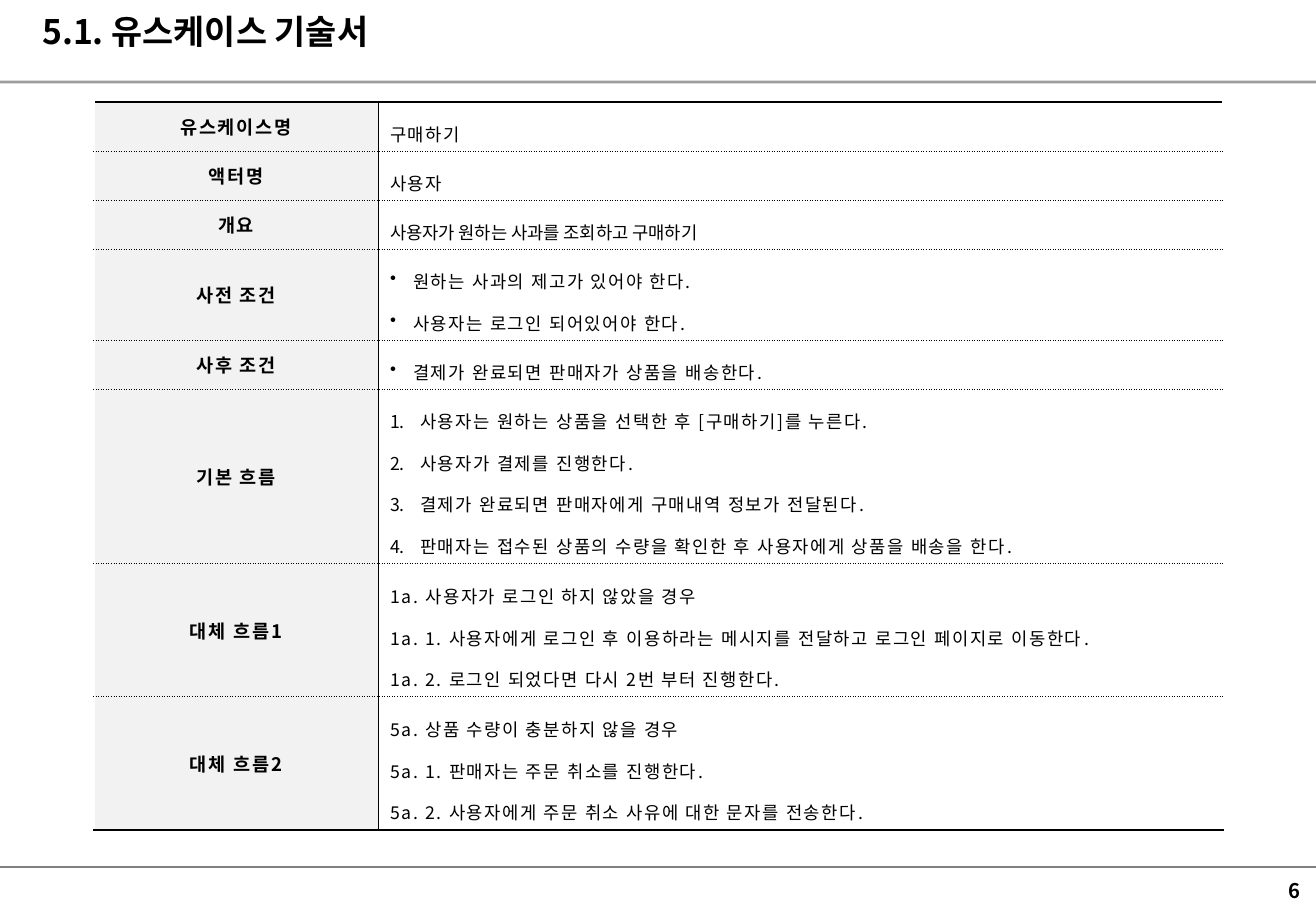
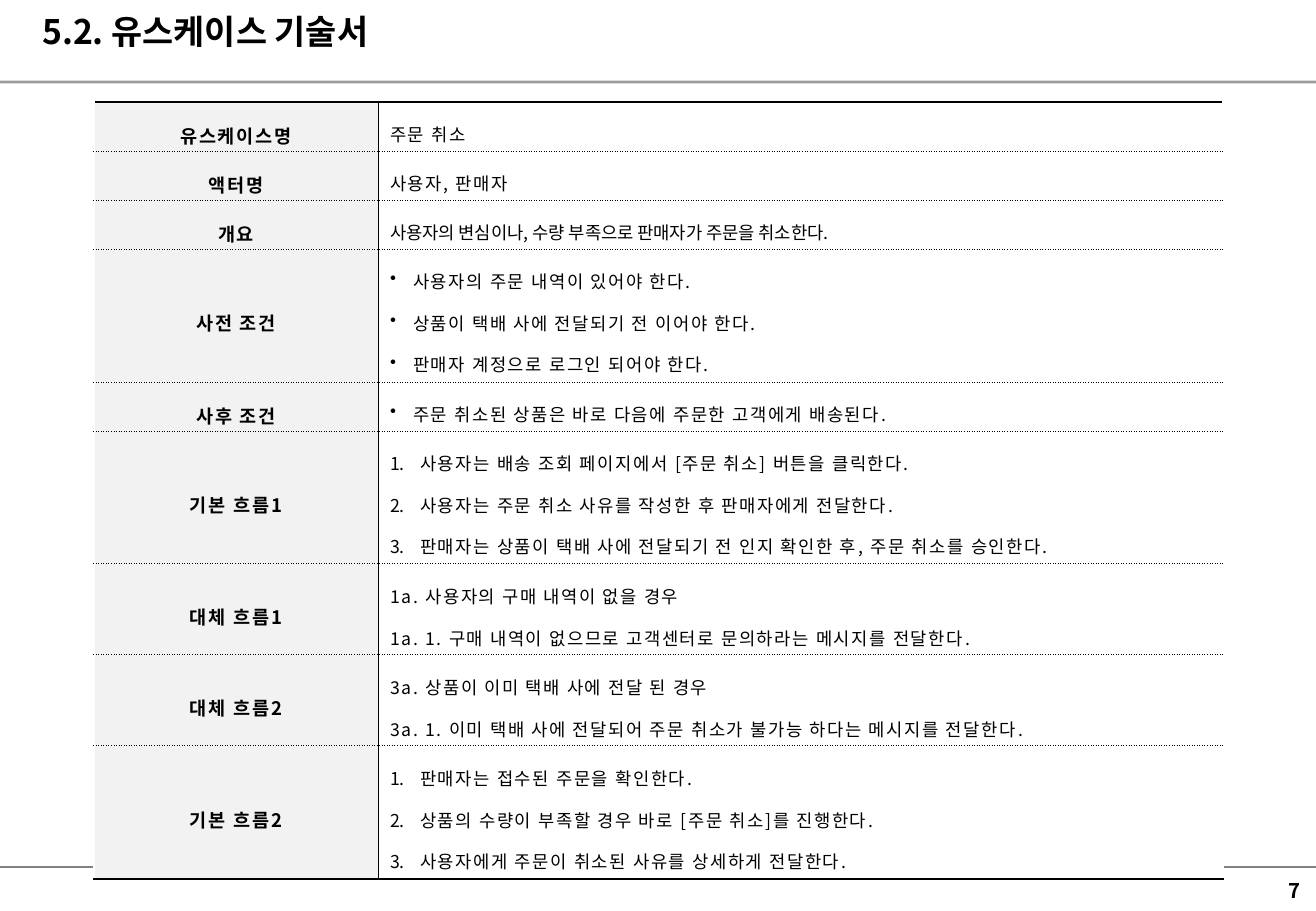
from lxml import etree
from pptx import Presentation
from pptx import util as u
from pptx.dml.color import RGBColor
from pptx.enum import shapes, text
from pptx.oxml.ns import qn

PX = 7526  # EMU per px
FONT = "Noto Sans CJK KR"
COLORS = {"ink": "000000", "rule": "808080", "label": "F2F2F2", "paper": "FFFFFF"}
LEFT, CENTER, RIGHT = text.PP_ALIGN.LEFT, text.PP_ALIGN.CENTER, text.PP_ALIGN.RIGHT
TOP, MIDDLE = text.MSO_ANCHOR.TOP, text.MSO_ANCHOR.MIDDLE

# Hanging indent in px, bullet tag and its attributes
LISTS = {
    "bullet": (23, "a:buChar", {"char": "•"}),
    "number": (30, "a:buAutoNum", {"type": "arabicPeriod"}),
}

# Each page: number, title, label line spacing, rows of (label, kind, lines)
PAGES = [
    (6, "5.1. 유스케이스 기술서", 1.0, [
        ("유스케이스명", "plain", ["구매하기"]),
        ("액터명", "plain", ["사용자"]),
        ("개요", "tight", ["사용자가 원하는 사과를 조회하고 구매하기"]),
        ("사전 조건", "bullet", [
            "원하는 사과의 제고가 있어야 한다.",
            "사용자는 로그인 되어있어야 한다."]),
        ("사후 조건", "bullet", ["결제가 완료되면 판매자가 상품을 배송한다."]),
        ("기본 흐름", "number", [
            "사용자는 원하는 상품을 선택한 후 [구매하기]를 누른다.",
            "사용자가 결제를 진행한다.",
            "결제가 완료되면 판매자에게 구매내역 정보가 전달된다.",
            "판매자는 접수된 상품의 수량을 확인한 후 사용자에게 상품을 배송을 한다."]),
        ("대체 흐름1", "plain", [
            "1a. 사용자가 로그인 하지 않았을 경우",
            "1a. 1. 사용자에게 로그인 후 이용하라는 메시지를 전달하고 로그인 페이지로 이동한다.",
            "1a. 2. 로그인 되었다면 다시 2번 부터 진행한다."]),
        ("대체 흐름2", "plain", [
            "5a. 상품 수량이 충분하지 않을 경우",
            "5a. 1. 판매자는 주문 취소를 진행한다.",
            "5a. 2. 사용자에게 주문 취소 사유에 대한 문자를 전송한다."]),
    ]),
    (7, "5.2. 유스케이스 기술서", 1.5, [
        ("유스케이스명", "plain", ["주문 취소"]),
        ("액터명", "plain", ["사용자, 판매자"]),
        ("개요", "tight", ["사용자의 변심이나, 수량 부족으로 판매자가 주문을 취소한다."]),
        ("사전 조건", "bullet", [
            "사용자의 주문 내역이 있어야 한다.",
            "상품이 택배 사에 전달되기 전 이어야 한다.",
            "판매자 계정으로 로그인 되어야 한다."]),
        ("사후 조건", "bullet", ["주문 취소된 상품은 바로 다음에 주문한 고객에게 배송된다."]),
        ("기본 흐름1", "number", [
            "사용자는 배송 조회 페이지에서 [주문 취소] 버튼을 클릭한다.",
            "사용자는 주문 취소 사유를 작성한 후 판매자에게 전달한다.",
            "판매자는 상품이 택배 사에 전달되기 전 인지 확인한 후, 주문 취소를 승인한다."]),
        ("대체 흐름1", "plain", [
            "1a. 사용자의 구매 내역이 없을 경우",
            "1a. 1. 구매 내역이 없으므로 고객센터로 문의하라는 메시지를 전달한다."]),
        ("대체 흐름2", "plain", [
            "3a. 상품이 이미 택배 사에 전달 된 경우",
            "3a. 1. 이미 택배 사에 전달되어 주문 취소가 불가능 하다는 메시지를 전달한다."]),
        ("기본 흐름2", "number", [
            "판매자는 접수된 주문을 확인한다.",
            "상품의 수량이 부족할 경우 바로 [주문 취소]를 진행한다.",
            "사용자에게 주문이 취소된 사유를 상세하게 전달한다."]),
    ]),
]


def px(length):
    return u.Emu(length * PX)


def rgb(name):
    return RGBColor.from_string(COLORS[name])


def add_border(cell, side, width, dash="solid"):
    """Draw one cell edge; call in the order L, R, T, B and before the fill."""
    props = cell._tc.get_or_add_tcPr()
    edge = etree.SubElement(props, qn(f"a:ln{side}"), w=str(u.Pt(width)))
    fill = etree.SubElement(edge, qn("a:solidFill"))
    etree.SubElement(fill, qn("a:srgbClr"), val=COLORS["ink"])
    etree.SubElement(edge, qn("a:prstDash"), val=dash)


def add_bullet(para, kind):
    indent, tag, attributes = LISTS[kind]
    props = para._p.get_or_add_pPr()
    props.set("marL", str(px(indent)))
    props.set("indent", str(-px(indent)))
    etree.SubElement(props, qn(tag), attributes)


class Report:
    def __init__(self):
        self.deck = Presentation()
        self.deck.slide_width, self.deck.slide_height = px(1316), px(911)
        self.page = None

    def new_page(self, title, number):
        self.page = self.deck.slides.add_slide(self.deck.slide_layouts[5])
        self.rule(82, 1.5, alpha=76)
        self.rule(867, 0.75)
        self.title(title)
        self.page_number(number)

    def rule(self, y, width, alpha=100):
        line = self.page.shapes.add_connector(
            shapes.MSO_CONNECTOR.STRAIGHT, 0, px(y), px(1316), px(y))
        line.line.width = u.Pt(width)
        line.line.color.rgb = rgb("rule")
        if alpha < 100:
            color = line._element.spPr.find(".//" + qn("a:srgbClr"))
            etree.SubElement(color, qn("a:alpha"), val=str(alpha * 1000))
        etree.SubElement(line._element.spPr, qn("a:effectLst"))

    def title(self, words):
        box = self.page.shapes.title
        box.left, box.top, box.width, box.height = px(30), px(11), px(1267), px(60)
        frame = box.text_frame
        frame.auto_size = text.MSO_AUTO_SIZE.NONE
        frame.margin_top = 0
        self.set_text(frame, [words], 20, bold=True)

    def page_number(self, number):
        box = self.page.shapes.add_textbox(px(1016), px(871), px(296), px(38))
        box.text_frame.word_wrap = True
        self.set_text(box.text_frame, [str(number)], 12, True, RIGHT, MIDDLE)

    def set_text(self, frame, lines, size, bold=False, align=LEFT, anchor=TOP,
                 leading=1.0, tracking=0, kind=None):
        """Fill a frame with one paragraph a line; tracking is in points."""
        frame.vertical_anchor = anchor
        frame.text = "\n".join(lines)
        for index, para in enumerate(frame.paragraphs):
            para.alignment = align
            para.line_spacing = leading
            para.space_before = u.Pt(size * 0.2 if index else 0)
            if kind in LISTS:
                add_bullet(para, kind)
            for span in para.runs:
                span.font.size = u.Pt(size)
                span.font.bold = bold
                span.font.name = FONT
                span.font.color.rgb = rgb("ink")
                props = span._r.get_or_add_rPr()
                props.set("spc", str(tracking * 100))
                etree.SubElement(props, qn("a:ea"), typeface=FONT)

    def use_case_table(self, rows, label_leading):
        heights = [7 + 42 * len(lines) for _, _, lines in rows]
        table = self.page.shapes.add_table(
            len(rows), 2, px(94), px(102), px(1129), px(sum(heights))).table
        table.first_row = table.horz_banding = False
        table.columns[0].width, table.columns[1].width = px(284), px(845)
        last = len(rows) - 1
        for index, (label, kind, lines) in enumerate(rows):
            table.rows[index].height = px(heights[index])
            for column, inner_side in enumerate("RL"):
                cell = table.cell(index, column)
                add_border(cell, inner_side, 0.5)
                for side, outer_row in (("T", 0), ("B", last)):
                    outer = index == outer_row
                    add_border(cell, side, *((1.5,) if outer else (0.5, "sysDot")))
                cell.fill.solid()
                cell.fill.fore_color.rgb = rgb("paper" if column else "label")
            name, body = table.cell(index, 0), table.cell(index, 1)
            self.set_text(name.text_frame, [label], 11, True, CENTER,
                          leading=label_leading, tracking=1)
            name.vertical_anchor = MIDDLE
            self.set_text(body.text_frame, lines, 10.5, leading=1.5,
                          tracking=0 if kind == "tight" else 1, kind=kind)


def main():
    report = Report()
    for number, title, label_leading, rows in PAGES:
        report.new_page(title, number)
        report.use_case_table(rows, label_leading)
    report.deck.save("out.pptx")


if __name__ == "__main__":
    main()
